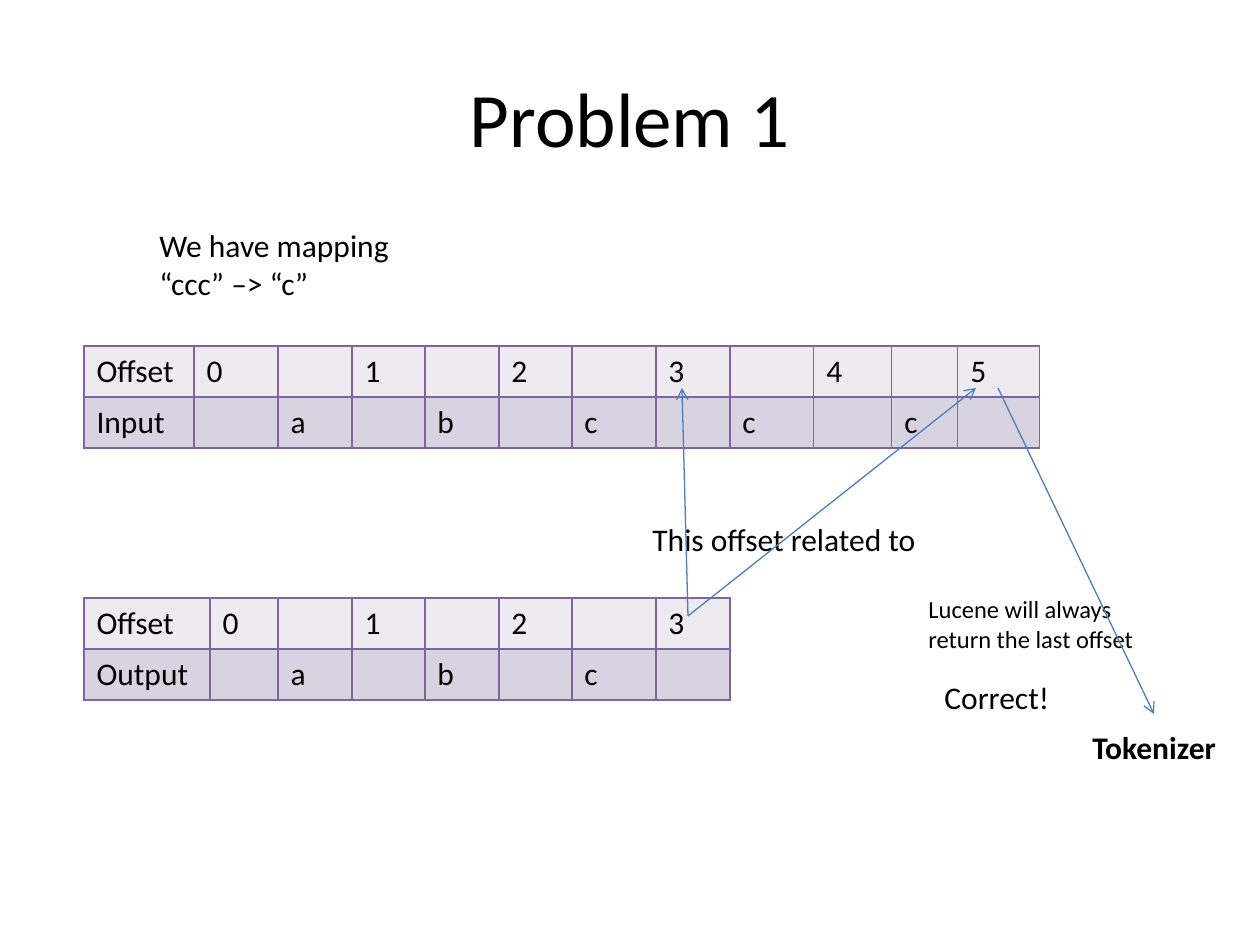
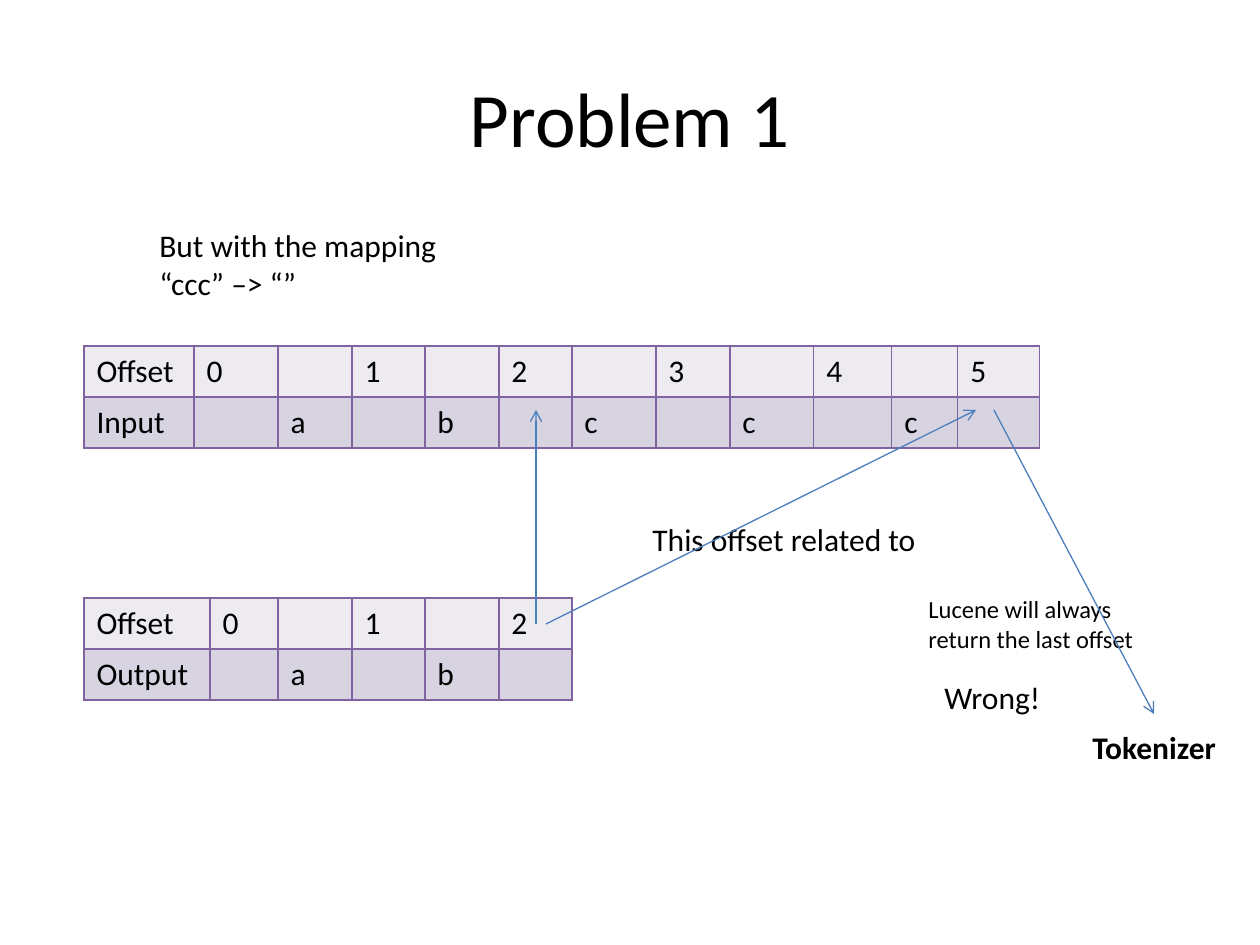
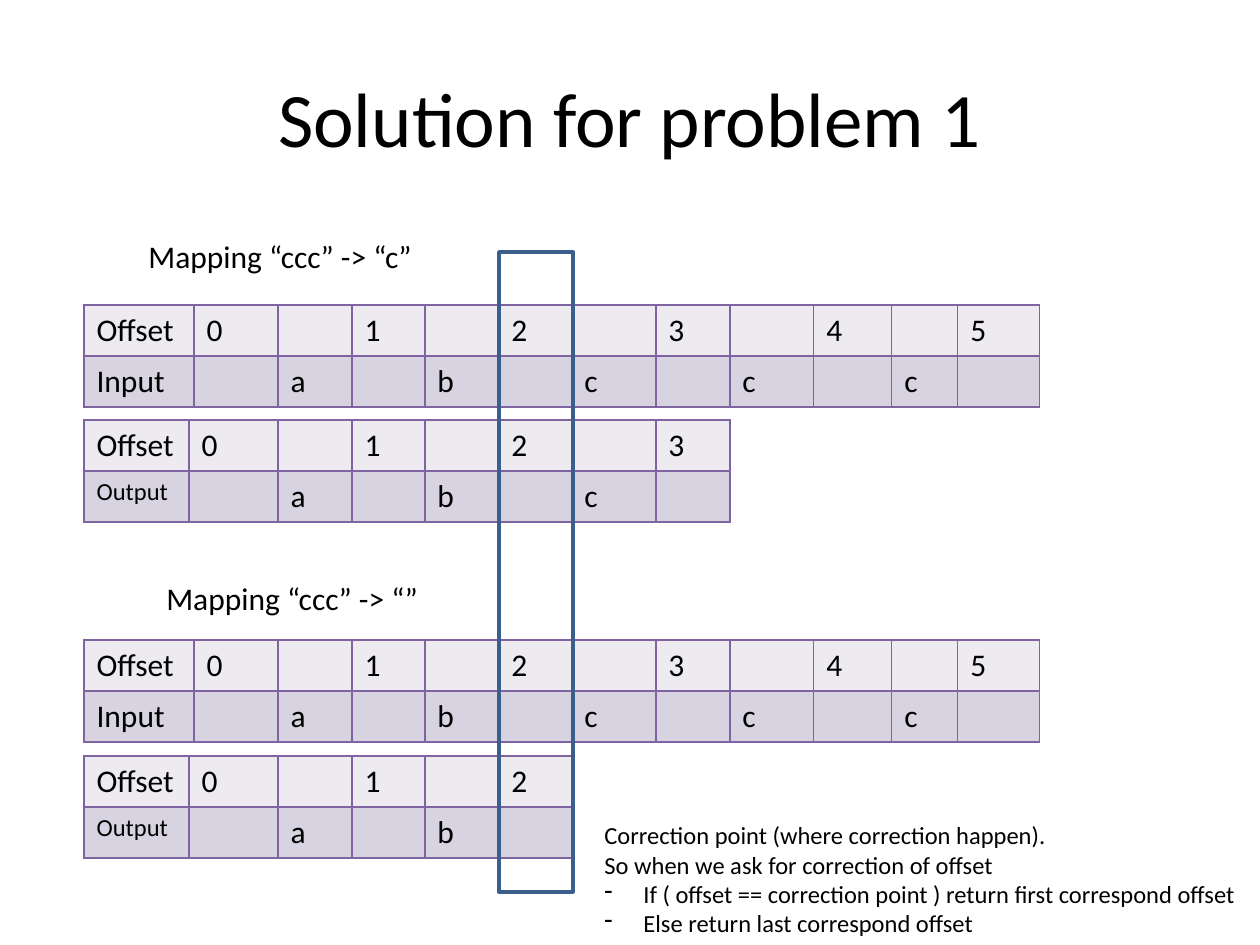
from dataclasses import dataclass

from lxml import etree
from pptx import Presentation
from pptx.dml.color import RGBColor
from pptx.enum.shapes import MSO_CONNECTOR, MSO_SHAPE
from pptx.enum.text import MSO_ANCHOR, MSO_AUTO_SIZE, PP_ALIGN
from pptx.oxml.ns import qn
from pptx.util import Pt


@dataclass(frozen=True)
class Theme:
    font: str = "Calibri"
    ink: str = "000000"
    rule: str = "8064A2"
    light: str = "EDEAF0"
    dark: str = "D8D3E0"
    arrow: str = "4B7EBC"
    frame: str = "3A5F8C"
    title: int = 44
    body: int = 18
    small: int = 14


THEME = Theme()
SCALE = 914400 / 126  # EMU in one px
SIZE = (1260, 945)
TITLE_BOX = (63, 38, 1134, 158)

# Tables: two leading columns, then the columns that all tables share
LEFT, ROW = 84, 51
STEPS = [74, 73, 74, 73, 84, 74, 84, 78, 66, 82]
INPUT = ("Input", "abccc", (110, 84), THEME.body)
WIDE = (126, 68)
SLIM = (105, 89)

# Text: box, lines, size, bold
SHARED = [
    ((640, 514, 292, 51), ["This offset related to"], THEME.body, False),
    ((916, 588, 233, 72), ["Lucene will always", "return the last offset"],
     THEME.small, False),
    ((1080, 722, 150, 51), ["Tokenizer"], THEME.body, True),
]

SLIDES = [
    {
        "title": "Problem 1",
        "tables": [(346, INPUT), (598, ("Output", "abc", WIDE, THEME.body))],
        "texts": SHARED + [
            ((147, 220, 265, 90), ["We have mapping", "“ccc” –> “c”"],
             THEME.body, False),
            ((932, 672, 131, 51), ["Correct!"], THEME.body, False),
        ],
        "arrows": [(688, 616, 682, 388), (688, 616, 976, 388),
                   (998, 388, 1154, 714)],
    },
    {
        "title": "Problem 1",
        "tables": [(346, INPUT), (598, ("Output", "ab", WIDE, THEME.body))],
        "texts": SHARED + [
            ((147, 220, 314, 90), ["But with the mapping", "“ccc” –> “”"],
             THEME.body, False),
            ((932, 672, 122, 51), ["Wrong!"], THEME.body, False),
        ],
        "arrows": [(536, 624, 536, 410), (546, 624, 976, 410),
                   (994, 410, 1154, 714)],
    },
    {
        "title": "Solution for problem 1",
        "tables": [
            (305, INPUT), (420, ("Output", "abc", SLIM, THEME.small)),
            (640, INPUT), (756, ("Output", "ab", SLIM, THEME.small)),
        ],
        "frame": (499, 252, 74, 640),
        "texts": [
            ((136, 231, 291, 51), ["Mapping “ccc” -> “c”"], THEME.body, False),
            ((154, 573, 280, 51), ["Mapping “ccc” -> “”"], THEME.body, False),
            ((592, 814, 663, 161),
             ["Correction point (where correction happen).",
              "So when we ask for correction of offset"], THEME.small, False,
             ["If ( offset == correction point ) return first correspond offset",
              "Else return last correspond offset"]),
        ],
    },
]
INDENT = 39


def px(n):
    return round(n * SCALE)


def place(box):
    return [px(n) for n in box]


def rgb(code):
    return RGBColor.from_string(code)


def write(para, text, size, bold=False):
    run = para.add_run()
    run.text = text
    font = run.font
    font.name, font.size, font.bold = THEME.font, Pt(size), bold
    font.color.rgb = rgb(THEME.ink)


def add_title(slide, text):
    shape = slide.shapes.title
    shape.left, shape.top, shape.width, shape.height = place(TITLE_BOX)
    frame = shape.text_frame
    frame.vertical_anchor = MSO_ANCHOR.MIDDLE
    para = frame.paragraphs[0]
    para.alignment = PP_ALIGN.CENTER
    write(para, text, THEME.title)


def add_dash(para):
    """Give the paragraph a hanging dash bullet."""
    props = para._p.get_or_add_pPr()
    props.set("marL", str(px(INDENT)))
    props.set("indent", str(-px(INDENT)))
    etree.SubElement(props, qn("a:buChar"), char="-")


def add_text(slide, box, lines, size, bold, points=()):
    frame = slide.shapes.add_textbox(*place(box)).text_frame
    frame.word_wrap = False
    frame.auto_size = MSO_AUTO_SIZE.SHAPE_TO_FIT_TEXT
    for i, line in enumerate([*lines, *points]):
        para = frame.add_paragraph() if i else frame.paragraphs[0]
        if i >= len(lines):
            add_dash(para)
        write(para, line, size, bold)


def add_rules(cell):
    """Draw the four borders of a cell; they come before its fill."""
    props = cell._tc.get_or_add_tcPr()
    for i, side in enumerate(("lnL", "lnR", "lnT", "lnB")):
        line = etree.Element(qn(f"a:{side}"), w=str(Pt(1)))
        fill = etree.SubElement(line, qn("a:solidFill"))
        etree.SubElement(fill, qn("a:srgbClr"), val=THEME.rule)
        props.insert(i, line)


def add_grid(slide, top, label, word, heads, size):
    """Offsets stand in every other column, letters in the gaps between."""
    count = 2 * len(word) + 2
    widths = [*heads, *STEPS[:count - 2]]
    offsets = ["Offset"] + [""] * (count - 1)
    offsets[1::2] = [str(n) for n in range(len(word) + 1)]
    letters = [label] + [""] * (count - 1)
    letters[2::2] = word
    box = place((LEFT, top, sum(widths), 2 * ROW))
    table = slide.shapes.add_table(2, count, *box).table
    table.first_row = table.horz_banding = False
    for col, width in zip(table.columns, widths):
        col.width = px(width)
    rows = ((offsets, THEME.light), (letters, THEME.dark))
    for r, (texts, fill) in enumerate(rows):
        table.rows[r].height = px(ROW)
        for c, text in enumerate(texts):
            cell = table.cell(r, c)
            cell.fill.solid()
            cell.fill.fore_color.rgb = rgb(fill)
            add_rules(cell)
            if text:
                write(cell.text_frame.paragraphs[0], text,
                      size if text == label else THEME.body)


def add_arrow(slide, ends):
    line = slide.shapes.add_connector(MSO_CONNECTOR.STRAIGHT, *place(ends))
    line.line.color.rgb = rgb(THEME.arrow)
    line.line.width = Pt(0.75)
    etree.SubElement(line.line._get_or_add_ln(), qn("a:tailEnd"), type="arrow")
    etree.SubElement(line._element.spPr, qn("a:effectLst"))


def add_frame(slide, box):
    shape = slide.shapes.add_shape(MSO_SHAPE.RECTANGLE, *place(box))
    shape.shadow.inherit = False
    shape.fill.background()
    shape.line.color.rgb = rgb(THEME.frame)
    shape.line.width = Pt(2)


def main():
    deck = Presentation()
    deck.slide_width, deck.slide_height = place(SIZE)
    for data in SLIDES:
        slide = deck.slides.add_slide(deck.slide_layouts[5])
        add_title(slide, data["title"])
        for top, grid in data["tables"]:
            add_grid(slide, top, *grid)
        if "frame" in data:
            add_frame(slide, data["frame"])
        for text in data["texts"]:
            add_text(slide, *text)
        for ends in data.get("arrows", ()):
            add_arrow(slide, ends)
    deck.save("out.pptx")


if __name__ == "__main__":
    main()
